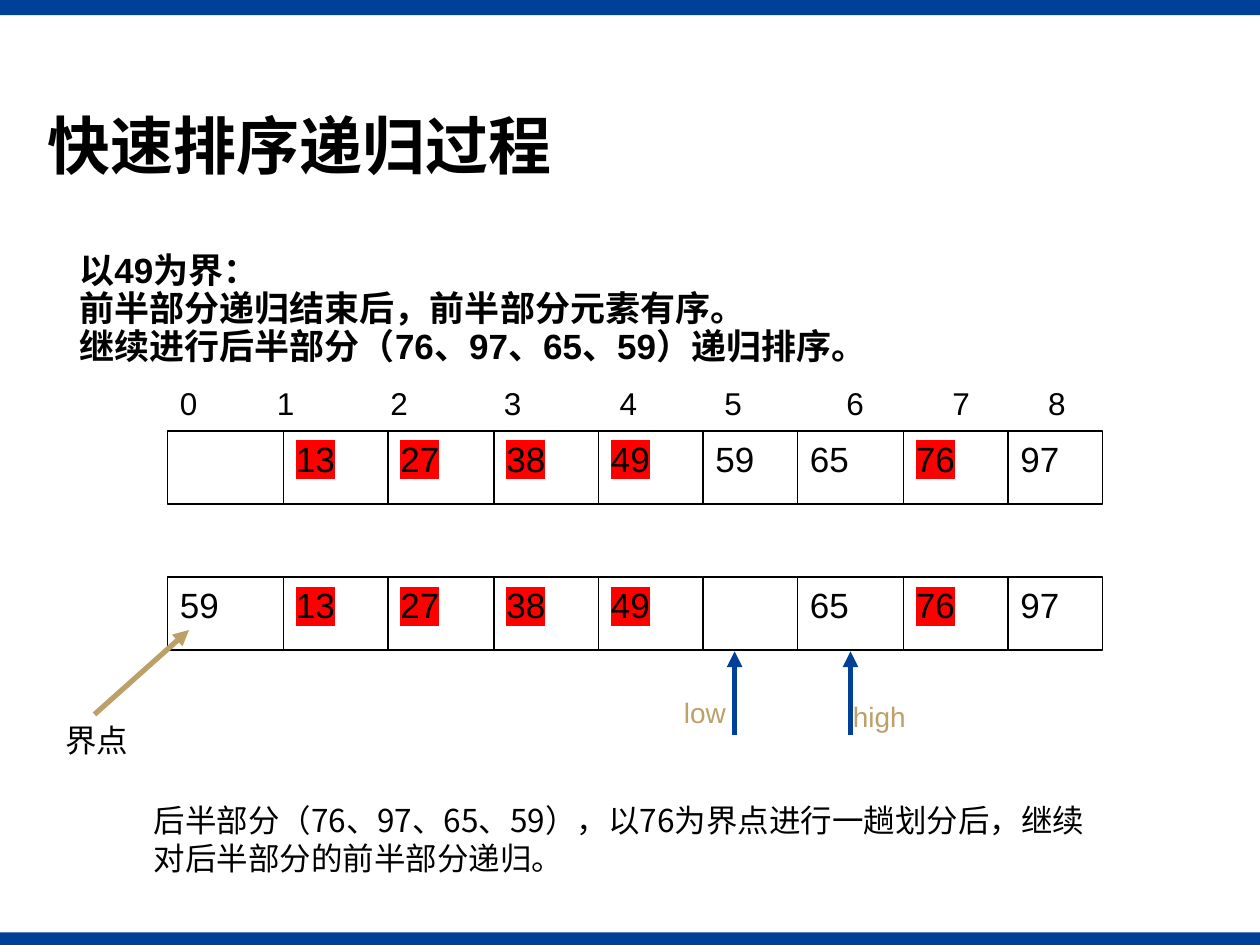
import pptx
import pptx.util
import pptx.dml.color
import pptx.enum.shapes
import pptx.enum.text
import pptx.oxml
import pptx.oxml.ns

Inches = pptx.util.Inches
Pt = pptx.util.Pt
qn = pptx.oxml.ns.qn
Fit = pptx.enum.text.MSO_AUTO_SIZE
Anchor = pptx.enum.text.MSO_ANCHOR
Align = pptx.enum.text.PP_ALIGN

HUES = {"blue": "004098", "gold": "BD9F68", "black": "000000",
        "white": "FFFFFF", "red": "FF0000"}
HAN = "Noto Sans CJK SC"
EDGES = [1.33, 2.25, 3.08, 3.92, 4.75, 5.58, 6.33, 7.17, 8, 8.75]
DIGITS = [2.2, 3.1, 4, 4.92, 5.75, 6.72, 7.56, 8.32]
SORTED = {"13", "27", "38", "49", "76"}
ROWS = [(3.42, ["", "13", "27", "38", "49", "59", "65", "76", "97"]),
        (4.58, ["59", "13", "27", "38", "49", "", "65", "76", "97"])]
HIGH = 0.58


def tint(name):
    return pptx.dml.color.RGBColor.from_string(HUES[name])


def put(item, vals):
    for key, val in vals.items():
        setattr(item, key, val)


def place(item, box):
    names = ("left", "top", "width", "height")
    put(item, dict(zip(names, map(Inches, box))))


class Deck:
    def __init__(self):
        self.show = pptx.Presentation()
        put(self.show, {"slide_width": Inches(10), "slide_height": Inches(7.5)})
        self.slide = self.show.slides.add_slide(self.show.slide_layouts[1])
        self.shapes = self.slide.shapes

    def run(self, para, text, size, hue="black", bold=False, face="Arial", mark=None):
        """Add a styled run, with a highlight if mark names a colour."""
        run = para.add_run()
        run.text = text
        put(run.font, {"size": Pt(size), "bold": bold, "name": face})
        run.font.color.rgb = tint(hue)
        latin = run._r.get_or_add_rPr().find(qn("a:latin"))
        latin.addnext(latin.makeelement(qn("a:ea"), {"typeface": HAN}))
        if mark:
            band = latin.makeelement(qn("a:highlight"), {})
            band.append(band.makeelement(qn("a:srgbClr"), {"val": HUES[mark]}))
            latin.addprevious(band)

    def fill(self, holder, box, lines, anchor, **style):
        """Move a placeholder and fill it with plain, unbulleted lines."""
        place(holder, box)
        frame = holder.text_frame
        put(frame, {"auto_size": Fit.NONE, "word_wrap": True,
                    "vertical_anchor": anchor})
        for num, line in enumerate(lines):
            para = frame.add_paragraph() if num else frame.paragraphs[0]
            props = para._p.get_or_add_pPr()
            props.set("marL", "0")
            props.set("indent", "0")
            props.append(props.makeelement(qn("a:buNone"), {}))
            put(para, {"alignment": Align.LEFT, "line_spacing": 0.9,
                       "space_before": Pt(0)})
            self.run(para, line, **style)

    def text(self, box, text, size, stops=(), **style):
        frame = self.shapes.add_textbox(*map(Inches, box)).text_frame
        put(frame, {"word_wrap": True, "auto_size": Fit.SHAPE_TO_FIT_TEXT})
        para = frame.paragraphs[0]
        if stops:
            props = para._p.get_or_add_pPr()
            tabs = props.makeelement(qn("a:tabLst"), {})
            props.append(tabs)
            for stop in stops:
                tabs.append(tabs.makeelement(
                    qn("a:tab"), {"pos": str(Inches(stop)), "algn": "l"}))
        self.run(para, text, size, **style)

    def rect(self, box, hue, edge=None):
        kind = pptx.enum.shapes.MSO_SHAPE.RECTANGLE
        shape = self.shapes.add_shape(kind, *map(Inches, box))
        shape.shadow.inherit = False
        shape.fill.solid()
        shape.fill.fore_color.rgb = tint(hue)
        if edge:
            shape.line.color.rgb = tint(edge)
            shape.line.width = Pt(0.75)
        else:
            shape.line.fill.background()

    def line(self, start, end, hue="black", width=0.75, arrow=False):
        kind = pptx.enum.shapes.MSO_CONNECTOR.STRAIGHT
        link = self.shapes.add_connector(kind, *map(Inches, (*start, *end)))
        link.line.color.rgb = tint(hue)
        link.line.width = Pt(width)
        props = link._element.spPr
        if arrow:
            stroke = props.find(qn("a:ln"))
            stroke.append(stroke.makeelement(qn("a:tailEnd"), {"type": "triangle"}))
        props.append(props.makeelement(qn("a:effectLst"), {}))

    def row(self, top, vals):
        """Draw one array with its cell borders and values."""
        self.rect((EDGES[0], top, EDGES[-1] - EDGES[0], HIGH), "white", "black")
        for left in EDGES[1:-1]:
            self.line((left, top), (left, top + HIGH))
        for left, val in zip(EDGES, vals):
            if val:
                self.text((left, top, 0.67, 0.43), val, 20,
                          mark="red" if val in SORTED else None)


def main():
    deck = Deck()
    deck.rect((0, 7.4, 10, 0.1), "blue")
    deck.rect((0, 0, 10, 0.12), "blue")
    deck.fill(deck.shapes.title, (0.28, 0.76, 8.5, 0.84), ["快速排序递归过程"],
              Anchor.MIDDLE, size=36, bold=True, face="Times New Roman")
    deck.fill(deck.slide.placeholders[1], (0.53, 1.96, 8.7, 1.01),
              ["以49为界：", "前半部分递归结束后，前半部分元素有序。",
               "继续进行后半部分（76、97、65、59）递归排序。"],
              Anchor.TOP, size=20, bold=True)

    inset = EDGES[0] + 0.1
    deck.text((EDGES[0], 3, 7.33, 0.4), "\t".join(map(str, range(9))), 18,
              stops=[left - inset for left in DIGITS])
    for top, vals in ROWS:
        deck.row(top, vals)

    for tip, left, top, name in [(5.83, 5.33, 5.47, "low"), (6.75, 6.67, 5.5, "high")]:
        deck.line((tip, 5.83), (tip, 5.17), "blue", 3, True)
        deck.text((left, top, 0.92, 0.37), name, 16, hue="gold")
    deck.text((0.42, 5.67, 0.83, 0.33), "界点", 18)
    deck.line((0.75, 5.67), (1.5, 5), "gold", 3, True)
    deck.text((1.12, 6.31, 7.72, 0.71),
              "后半部分（76、97、65、59），以76为界点进行一趟划分后，"
              "继续对后半部分的前半部分递归。", 18, face=HAN)
    deck.show.save("out.pptx")


if __name__ == "__main__":
    main()
